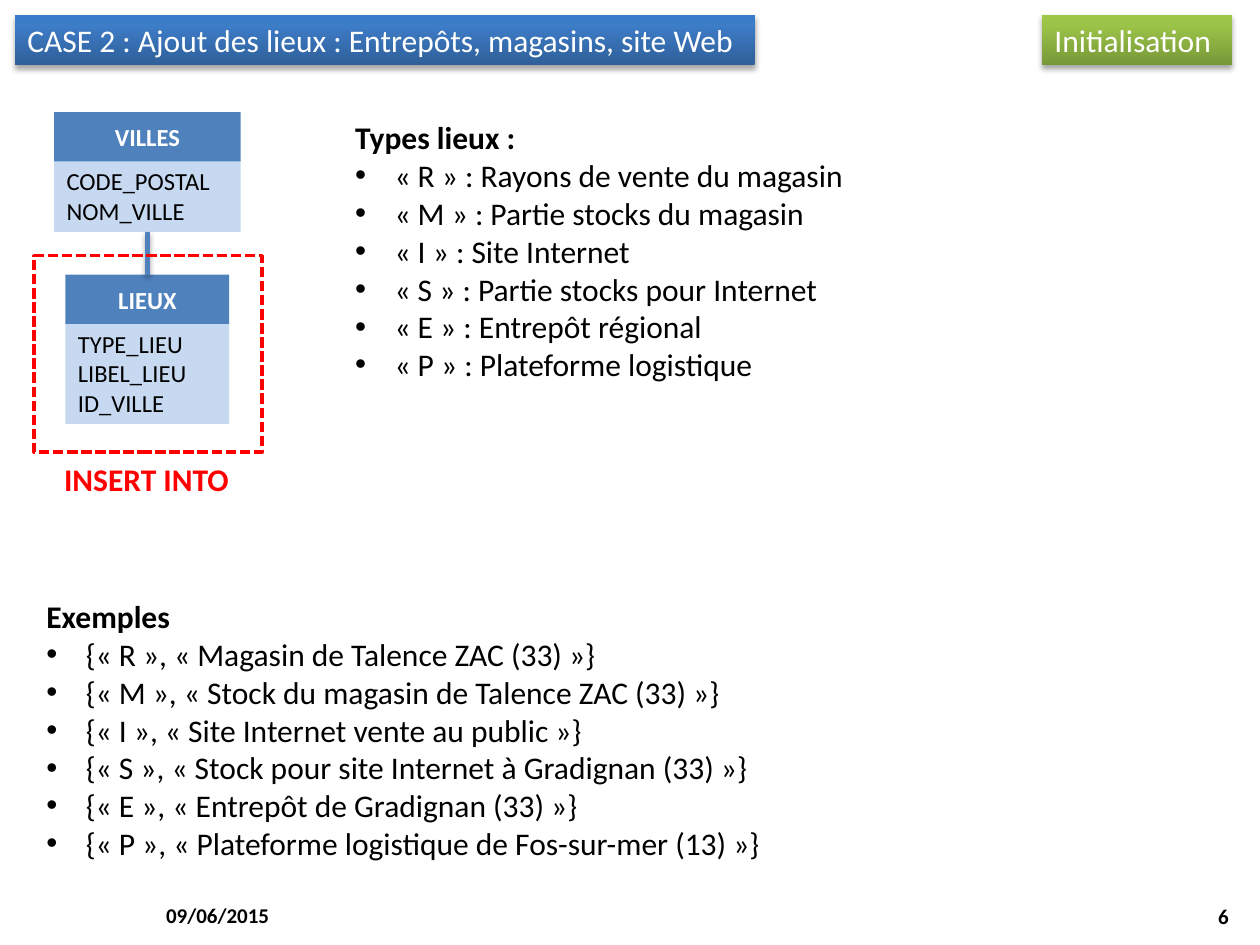
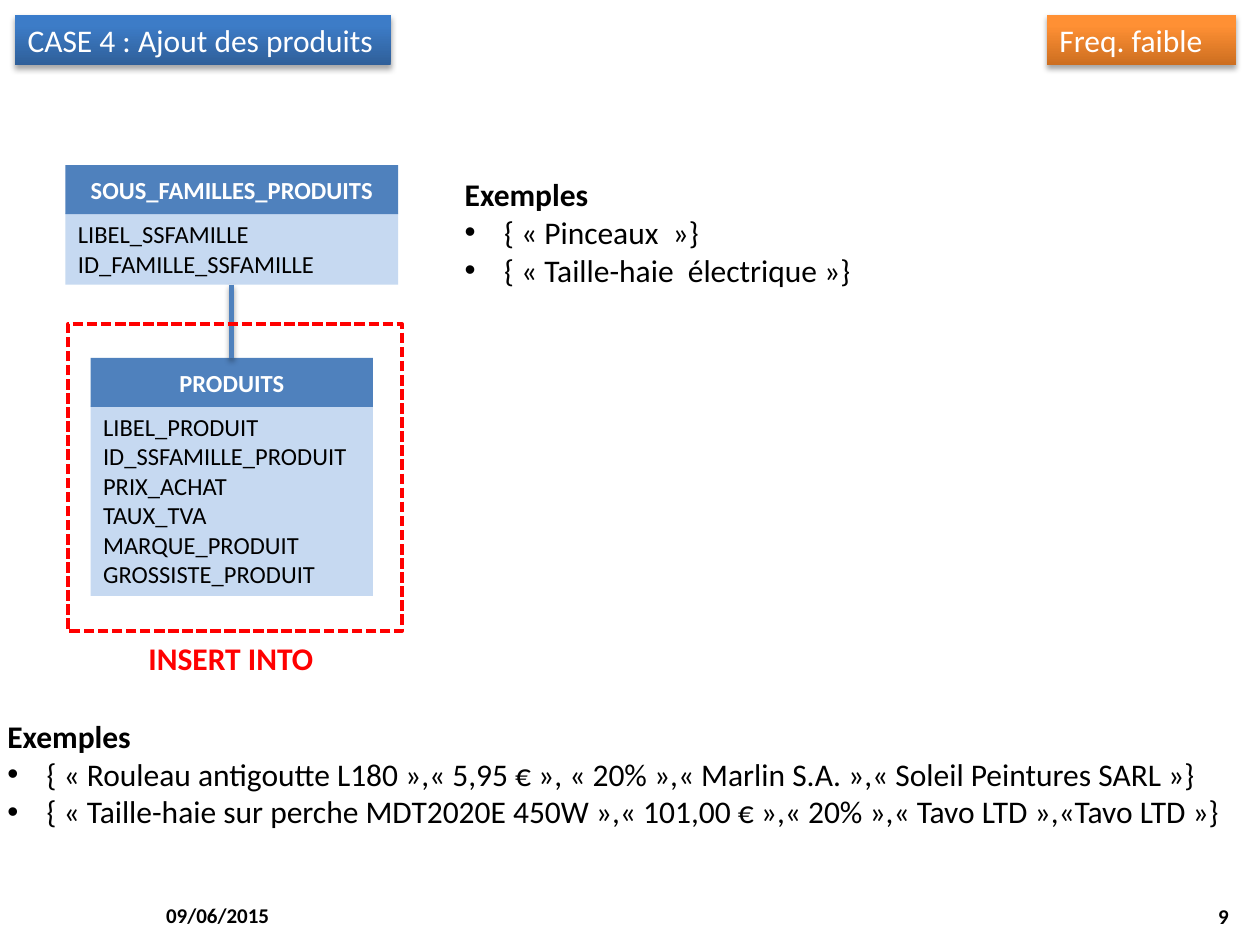
from copy import deepcopy
from lxml.etree import SubElement
from pptx import Presentation
from pptx.dml.color import RGBColor
from pptx.enum.dml import MSO_LINE
from pptx.enum.shapes import MSO_CONNECTOR, MSO_SHAPE
from pptx.enum.text import MSO_ANCHOR, MSO_AUTO_SIZE, PP_ALIGN
from pptx.oxml import parse_xml
from pptx.oxml.ns import nsdecls, qn
from pptx.util import Inches, Pt

deck = Presentation()
deck.slide_width, deck.slide_height = Inches(10), Inches(7.5)
cell = deck.slide_width / 100

FONT = "Calibri"
BLACK, WHITE, RED = "000000", "FFFFFF", "FF0000"
HEAD, BODY = "4F81BD", "C6D9F1"
BLUE = ["2F5F99", "3D7CC7", "3A7CCB"]
GREEN = ["779737", "9BC348", "9DC746"]
ORANGE = ["CC6E20", "FF9034", "FF9136"]
ROW, PAD, CAP = 2.35, 1, 3.8

SHADE = parse_xml(
    f'<a:effectLst {nsdecls("a")}><a:outerShdw blurRad="40000" dist="23000" '
    'dir="5400000" rotWithShape="0"><a:srgbClr val="000000">'
    '<a:alpha val="35000"/></a:srgbClr></a:outerShdw></a:effectLst>')


def tint(code):
    return RGBColor.from_string(code)


def box(area, lines, size, ink, bold=False, fill=None, align=PP_ALIGN.LEFT,
        anchor=MSO_ANCHOR.TOP, wrap=True, dots=False):
    spot = [round(n * cell) for n in area]
    if fill:
        shape = page.shapes.add_shape(MSO_SHAPE.RECTANGLE, *spot)
        shape.shadow.inherit = False
        shape.line.fill.background()
        if isinstance(fill, str):
            shape.fill.solid()
            shape.fill.fore_color.rgb = tint(fill)
    else:
        shape = page.shapes.add_textbox(*spot)
    frame = shape.text_frame
    frame.word_wrap = wrap
    frame.vertical_anchor = anchor
    if not wrap:
        frame.auto_size = MSO_AUTO_SIZE.SHAPE_TO_FIT_TEXT
    for i, line in enumerate(lines):
        para = frame.paragraphs[0] if i == 0 else frame.add_paragraph()
        para.alignment = align
        if dots and i:
            props = para._p.get_or_add_pPr()
            props.set("marL", "285750")
            props.set("indent", "-285750")
            SubElement(props, qn("a:buFont")).set("typeface", "Arial")
            SubElement(props, qn("a:buChar")).set("char", "•")
        run = para.add_run()
        run.text = line
        run.font.name, run.font.size = FONT, Pt(size)
        run.font.bold = bold or (dots and i == 0)
        run.font.color.rgb = tint(ink)
    return shape


pages = [
    dict(
        num="6",
        bands=[((1.2, 1.2, 58.7, 4), BLUE, False,
                "CASE 2 : Ajout des lieux : Entrepôts, magasins, site Web"),
               ((82.7, 1.2, 15.1, 4), GREEN, True, "Initialisation")],
        tables=[(4.3, 8.9, 14.8, "VILLES", ["CODE_POSTAL", "NOM_VILLE"]),
                (5.2, 21.8, 13, "LIEUX",
                 ["TYPE_LIEU", "LIBEL_LIEU", "ID_VILLE"])],
        frame=(2.7, 20.3, 18.1, 15.6),
        lists=[((2.7, 46.9, 59.4, 25.2), [
                   "Exemples",
                   "{« R », « Magasin de Talence ZAC (33) »}",
                   "{« M », « Stock du magasin de Talence ZAC (33) »}",
                   "{« I », « Site Internet vente au public »}",
                   "{« S », « Stock pour site Internet à Gradignan (33) »}",
                   "{« E », « Entrepôt de Gradignan (33) »}",
                   "{« P », « Plateforme logistique de Fos-sur-mer (13) »}"]),
               ((27.2, 8.9, 41.2, 22.2), [
                   "Types lieux :",
                   "« R » : Rayons de vente du magasin",
                   "« M » : Partie stocks du magasin",
                   "« I » : Site Internet",
                   "« S » : Partie stocks pour Internet",
                   "« E » : Entrepôt régional",
                   "« P » : Plateforme logistique"])]),
    dict(
        num="9",
        bands=[((1.2, 1.2, 29.8, 4), BLUE, False,
                "CASE 4 : Ajout des produits"),
               ((83.1, 1.2, 15, 4), ORANGE, True, "Freq. faible")],
        tables=[(5.2, 13.1, 26.4, "SOUS_FAMILLES_PRODUITS",
                 ["LIBEL_SSFAMILLE", "ID_FAMILLE_SSFAMILLE"]),
                (7.2, 28.4, 22.4, "PRODUITS",
                 ["LIBEL_PRODUIT", "ID_SSFAMILLE_PRODUIT", "PRIX_ACHAT",
                  "TAUX_TVA", "MARQUE_PRODUIT", "GROSSISTE_PRODUIT"])],
        frame=(5.4, 25.7, 26.5, 24.4),
        lists=[((-0.4, 56.4, 101.6, 10.1), [
                   "Exemples",
                   "{ « Rouleau antigoutte L180 »,« 5,95 € », « 20% »,"
                   "« Marlin S.A. »,« Soleil Peintures SARL »}",
                   "{ « Taille-haie sur perche MDT2020E 450W »,« 101,00 € »,"
                   "« 20% »,« Tavo LTD »,«Tavo LTD »}"]),
               ((35.9, 13.4, 33, 10.1), [
                   "Exemples",
                   "{ « Pinceaux  »}",
                   "{ « Taille-haie  électrique »}"])]),
]

for data in pages:
    page = deck.slides.add_slide(deck.slide_layouts[6])
    box((12.2, 70.6, 23.3, 4), ["09/06/2015"], 12, BLACK, bold=True,
        anchor=MSO_ANCHOR.MIDDLE)
    box((75.2, 70.7, 23.3, 4), [data["num"]], 12, BLACK, bold=True,
        align=PP_ALIGN.RIGHT, anchor=MSO_ANCHOR.MIDDLE)

    for area, hues, wrap, text in data["bands"]:
        band = box(area, [text], 18, WHITE, fill=hues, wrap=wrap)
        band.fill.gradient()
        band.fill.gradient_angle = 90
        stops = band._element.spPr.find(qn("a:gradFill")).find(qn("a:gsLst"))
        stops.append(deepcopy(stops[-1]))
        for stop, hue, share in zip(band.fill.gradient_stops, hues, (0, 0.8, 1)):
            stop.color.rgb = tint(hue)
            stop.position = share
        plain = band._element.spPr.find(qn("a:effectLst"))
        plain.getparent().replace(plain, deepcopy(SHADE))

    for x, y, w, name, fields in data["tables"]:
        box((x, y + CAP, w, PAD + ROW * len(fields)), fields, 14, BLACK,
            fill=BODY)
        box((x, y, w, CAP + 0.1), [name], 14, WHITE, bold=True, fill=HEAD,
            align=PP_ALIGN.CENTER, anchor=MSO_ANCHOR.MIDDLE)

    (x, y, w, name, fields), child = data["tables"]
    mid = x + w / 2
    foot = y + CAP + PAD + ROW * len(fields)
    ends = [round(n * cell) for n in (mid, foot, mid, child[1])]
    link = page.shapes.add_connector(MSO_CONNECTOR.STRAIGHT, *ends)
    link.line.color.rgb = tint(HEAD)
    link.line.width = Pt(3)
    link._element.spPr.append(deepcopy(SHADE))

    area = data["frame"]
    frame = page.shapes.add_shape(MSO_SHAPE.RECTANGLE,
                                  *[round(n * cell) for n in area])
    frame.shadow.inherit = False
    frame.fill.background()
    frame.line.color.rgb = tint(RED)
    frame.line.width = Pt(2)
    frame.line.dash_style = MSO_LINE.SQUARE_DOT
    box((mid - 7.6, area[1] + area[3] + 0.1, 15.2, 4), ["INSERT INTO"], 18,
        RED, bold=True, wrap=False)

    for area, lines in data["lists"]:
        box(area, lines, 18, BLACK, dots=True)

deck.save("out.pptx")
